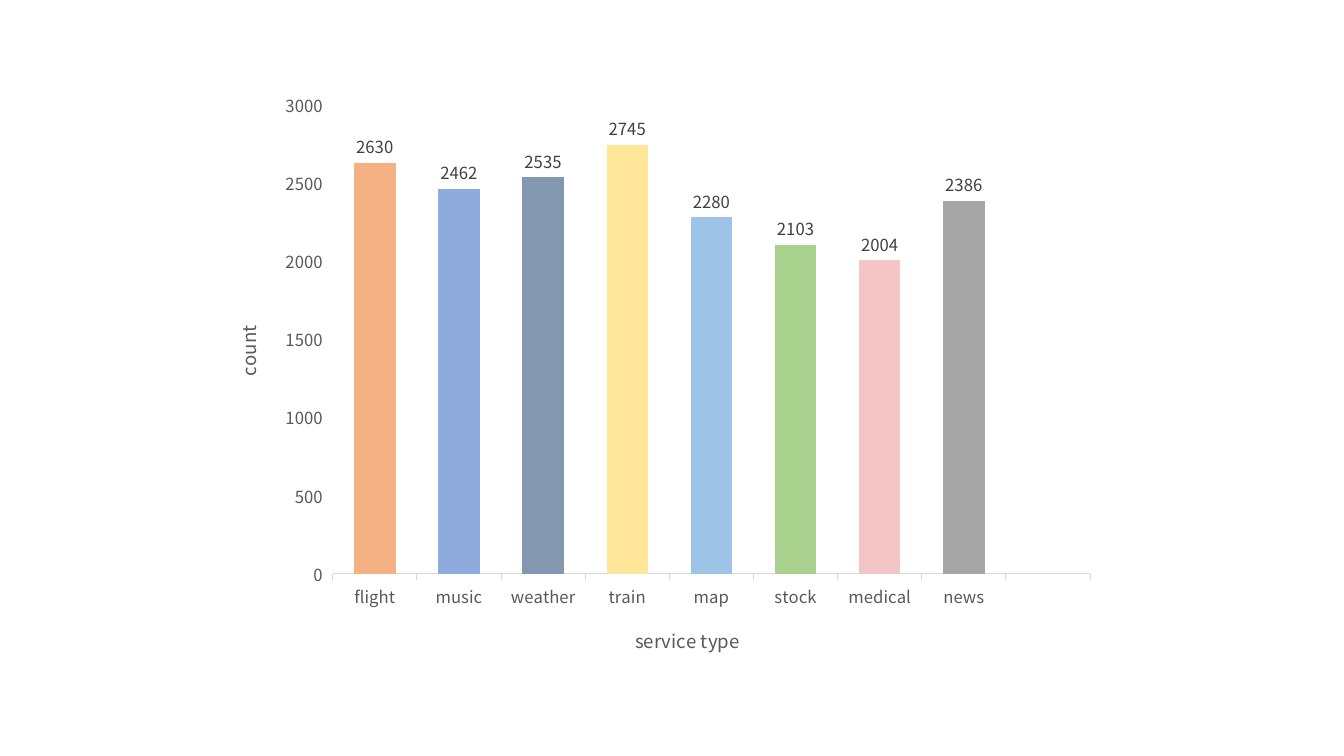
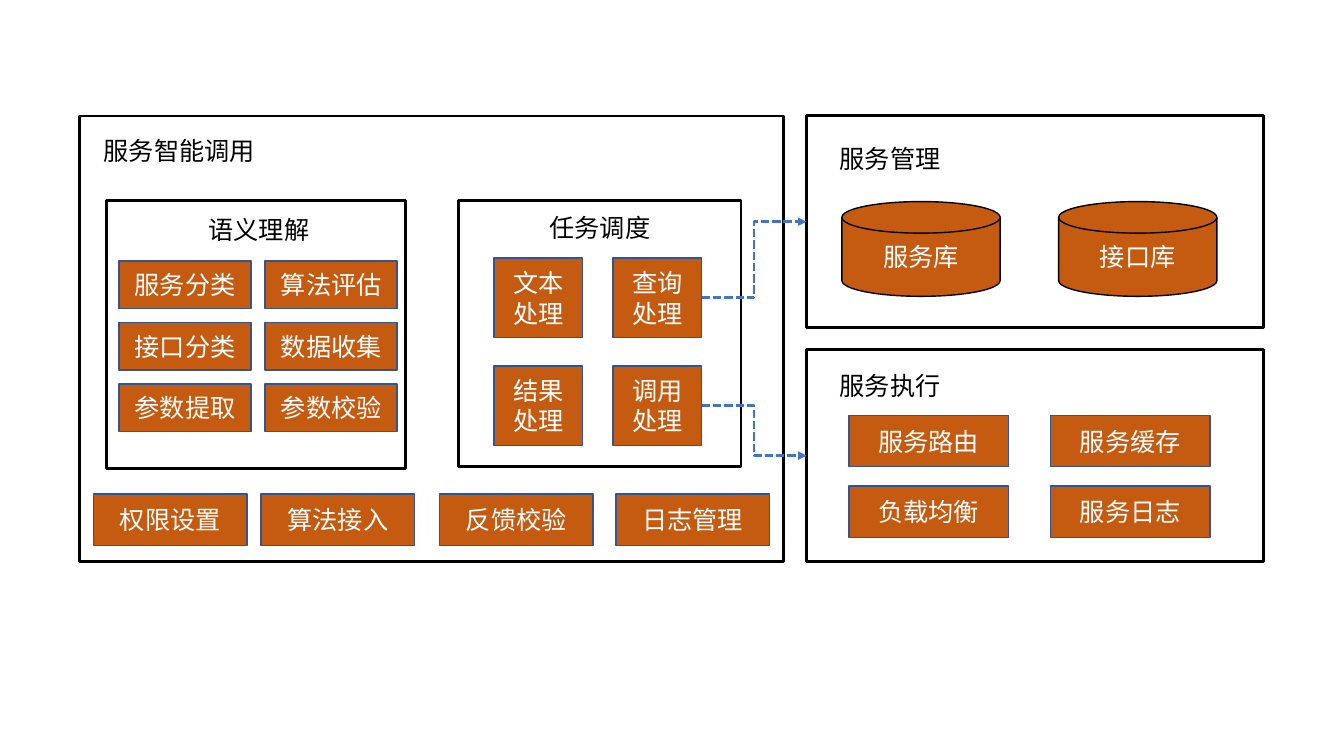
from lxml import etree
from pptx import Presentation
from pptx.chart.data import CategoryChartData
from pptx.dml.color import RGBColor
from pptx.enum.chart import XL_CHART_TYPE, XL_LABEL_POSITION, XL_TICK_MARK
from pptx.enum.dml import MSO_LINE
from pptx.enum.shapes import MSO_CONNECTOR, MSO_SHAPE
from pptx.enum.text import MSO_ANCHOR, MSO_AUTO_SIZE, PP_ALIGN
from pptx.oxml.ns import qn
from pptx.util import Inches, Pt

RECT, DISK = MSO_SHAPE.RECTANGLE, MSO_SHAPE.FLOWCHART_MAGNETIC_DISK
ELBOW, DASH = MSO_CONNECTOR.ELBOW, MSO_LINE.SQUARE_DOT
LEFT, CENTER, MIDDLE = PP_ALIGN.LEFT, PP_ALIGN.CENTER, MSO_ANCHOR.MIDDLE
GROW = MSO_AUTO_SIZE.SHAPE_TO_FIT_TEXT
COLUMNS, OUTSIDE_END = XL_CHART_TYPE.COLUMN_CLUSTERED, XL_LABEL_POSITION.OUTSIDE_END
TICK_OUT = XL_TICK_MARK.OUTSIDE
LEFT_SITE, RIGHT_SITE = 1, 3

FONT = "Noto Sans CJK SC"
COLORS = {
    "black": "000000", "white": "FFFFFF", "module": "C55A11", "edge": "325491",
    "arrow": "4472C4", "axis": "D9D9D9", "axis_text": "595959", "value_text": "404040",
}
SERVICES = {
    "flight": (2630, "F4B183"), "music": (2462, "8FAADC"),
    "weather": (2535, "8497B0"), "train": (2745, "FFE699"),
    "map": (2280, "9DC3E6"), "stock": (2103, "A9D18E"),
    "medical": (2004, "F3C5C6"), "news": (2386, "A6A6A6"),
}


def rgb(name):
    """Return the palette colour called name."""
    return RGBColor.from_string(COLORS[name])


def inches(box):
    """Turn (left, top, width, height) into lengths."""
    return [Inches(value) for value in box]


def style_font(font, size, color):
    """Set the shared typeface with a size and a palette colour."""
    font.name, font.size, font.bold = FONT, Pt(size), False
    font.color.rgb = rgb(color)


def write(frame, text, color, align):
    """Write one 18 pt line into a text frame."""
    frame.word_wrap = True
    paragraph = frame.paragraphs[0]
    paragraph.alignment = align
    run = paragraph.add_run()
    run.text = text
    style_font(run.font, 18, color)


def style_axis(axis, title):
    """Format an axis with its title and labels."""
    axis.has_major_gridlines = False
    axis.major_tick_mark = TICK_OUT
    style_font(axis.tick_labels.font, 11.9, "axis_text")
    run = axis.axis_title.text_frame.paragraphs[0].add_run()
    run.text = title
    style_font(run.font, 13.3, "axis_text")


def place_plot(chart, fractions):
    """Fix the inner plot area as x, y, w, h fractions of the chart."""
    area = chart._chartSpace.find(".//" + qn("c:plotArea"))
    for automatic in area.findall(qn("c:layout")):
        area.remove(automatic)
    layout = etree.Element(qn("c:layout"))
    manual = etree.SubElement(layout, qn("c:manualLayout"))
    settings = {"layoutTarget": "inner", "xMode": "edge", "yMode": "edge", **fractions}
    for tag, value in settings.items():
        etree.SubElement(manual, qn("c:" + tag)).set("val", str(value))
    area.insert(0, layout)


def service_chart(slide, box):
    """Draw the count of each service type, with one free slot at the end."""
    data = CategoryChartData()
    data.categories = [*SERVICES, ""]
    data.add_series("Series 1", [count for count, _ in SERVICES.values()] + [None])
    chart = slide.shapes.add_chart(COLUMNS, *inches(box), data).chart
    chart.has_legend = chart.has_title = False
    style_font(chart.font, 10, "black")
    place_plot(chart, {"x": 0.135, "y": 0.042, "w": 0.845, "h": 0.785})

    service_axis, count_axis = chart.category_axis, chart.value_axis
    style_axis(service_axis, "service type")
    service_axis.format.line.color.rgb = rgb("axis")
    service_axis.format.line.width = Pt(0.75)
    style_axis(count_axis, "count")
    count_axis.axis_title.text_frame._txBody.bodyPr.set("rot", "-5400000")
    count_axis.format.line.fill.background()
    count_axis.minimum_scale, count_axis.maximum_scale = 0, 3000
    count_axis.major_unit = 500

    plot = chart.plots[0]
    plot.gap_width, plot.overlap, plot.vary_by_categories = 103, -27, False
    counts = plot.series[0]
    counts.invert_if_negative = False
    counts.format.fill.solid()
    counts.format.fill.fore_color.rgb = rgb("black")
    for index, (_, color) in enumerate(SERVICES.values()):
        fill = counts.points[index].format.fill
        fill.solid()
        fill.fore_color.rgb = RGBColor.from_string(color)
    labels = counts.data_labels
    labels.show_value, labels.position = True, OUTSIDE_END
    style_font(labels.font, 11.9, "value_text")


def panel(slide, box, title, title_box, align=LEFT):
    """Draw an outlined panel; title_box is (dx, dy, width, height) inside it."""
    frame = slide.shapes.add_shape(RECT, *inches(box))
    frame.shadow.inherit = False
    frame.fill.background()
    frame.line.color.rgb = rgb("black")
    frame.line.width = Pt(2)
    dx, dy, width, height = title_box
    heading = slide.shapes.add_textbox(
        *inches((box[0] + dx, box[1] + dy, width, height)))
    write(heading.text_frame, title, "black", align)
    heading.text_frame.auto_size = GROW
    return frame


def module(slide, box, text, preset=RECT, edge="edge"):
    """Draw one filled module with centred white text."""
    block = slide.shapes.add_shape(preset, *inches(box))
    block.shadow.inherit = False
    block.fill.solid()
    block.fill.fore_color.rgb = rgb("module")
    block.line.color.rgb = rgb(edge)
    block.line.width = Pt(1)
    block.text_frame.vertical_anchor = MIDDLE
    write(block.text_frame, text, "white", CENTER)
    return block


def module_grid(slide, origin, size, pitch, rows, **style):
    """Lay rows of modules on an even grid and return them in reading order."""
    return [
        module(slide, (origin[0] + column * pitch[0], origin[1] + row * pitch[1], *size),
               text, **style)
        for row, texts in enumerate(rows) for column, text in enumerate(texts)
    ]


def call_arrow(slide, source, target):
    """Join a module's right side to a panel's left side with a dashed arrow."""
    arrow = slide.shapes.add_connector(ELBOW, 0, 0, 0, 0)
    arrow.begin_connect(source, RIGHT_SITE)
    arrow.end_connect(target, LEFT_SITE)
    arrow.line.color.rgb = rgb("arrow")
    arrow.line.width = Pt(2)
    arrow.line.dash_style = DASH
    etree.SubElement(arrow.line._get_or_add_ln(), qn("a:tailEnd")).set("type", "triangle")
    etree.SubElement(arrow._element.spPr, qn("a:effectLst"))


def semantic_region(slide, box):
    """Draw the semantic understanding panel."""
    left, top = box[:2]
    panel(slide, box, "语义理解", (0.91, 0.09, 1.52, 0.42))
    module_grid(slide, (left + 0.12, top + 0.6), (1.31, 0.47), (1.45, 0.61), [
        ("服务分类", "算法评估"), ("接口分类", "数据收集"), ("参数提取", "参数校验")])


def scheduling_region(slide, box):
    """Draw the task scheduling panel; return its query and call modules."""
    left, top = box[:2]
    panel(slide, box, "任务调度", (0.64, 0.07, 1.52, 0.4), CENTER)
    _, query, _, call = module_grid(
        slide, (left + 0.35, top + 0.57), (0.88, 0.79), (1.18, 1.07),
        [("文本处理", "查询处理"), ("结果处理", "调用处理")])
    return query, call


def invocation_region(slide, box):
    """Draw the intelligent invocation panel; return the modules that call out."""
    left, top = box[:2]
    panel(slide, box, "服务智能调用", (0.14, 0.14, 1.8, 0.4))
    semantic_region(slide, (left + 0.27, top + 0.84, 2.96, 2.66))
    callers = scheduling_region(slide, (left + 3.76, top + 0.84, 2.8, 2.64))
    tools = {"权限设置": 0.14, "算法接入": 1.8, "反馈校验": 3.57, "日志管理": 5.32}
    for tool, dx in tools.items():
        module(slide, (left + dx, top + 3.75, 1.52, 0.51), tool)
    return callers


def management_region(slide, box):
    """Draw the service management panel with its two stores."""
    left, top = box[:2]
    frame = panel(slide, box, "服务管理", (0.23, 0.22, 1.8, 0.4))
    module_grid(slide, (left + 0.35, top + 0.85), (1.57, 0.94), (2.15, 0),
                [("服务库", "接口库")], preset=DISK, edge="black")
    return frame


def execution_region(slide, box):
    """Draw the service execution panel."""
    left, top = box[:2]
    frame = panel(slide, box, "服务执行", (0.23, 0.15, 1.8, 0.4))
    module_grid(slide, (left + 0.42, top + 0.65), (1.58, 0.51), (2, 0.7),
                [("服务路由", "服务缓存"), ("负载均衡", "服务日志")])
    return frame


def architecture(slide, box):
    """Draw the three service regions and the calls between them."""
    left, top, width, height = box
    side_left, side_width, side_height = left + 7.21, width - 7.21, 2.1
    query, call = invocation_region(slide, (left, top, 6.98, height))
    management = management_region(slide, (side_left, top, side_width, side_height))
    execution = execution_region(
        slide, (side_left, top + height - side_height, side_width, side_height))
    call_arrow(slide, query, management)
    call_arrow(slide, call, execution)


def main():
    """Build both slides and save the presentation."""
    deck = Presentation()
    deck.slide_width, deck.slide_height = Inches(13.33), Inches(7.5)
    blank = deck.slide_layouts[6]
    service_chart(deck.slides.add_slide(blank), (2.1, 0.79, 8.89, 5.93))
    architecture(deck.slides.add_slide(blank), (0.79, 1.15, 11.74, 4.42))
    deck.save("out.pptx")


main()
